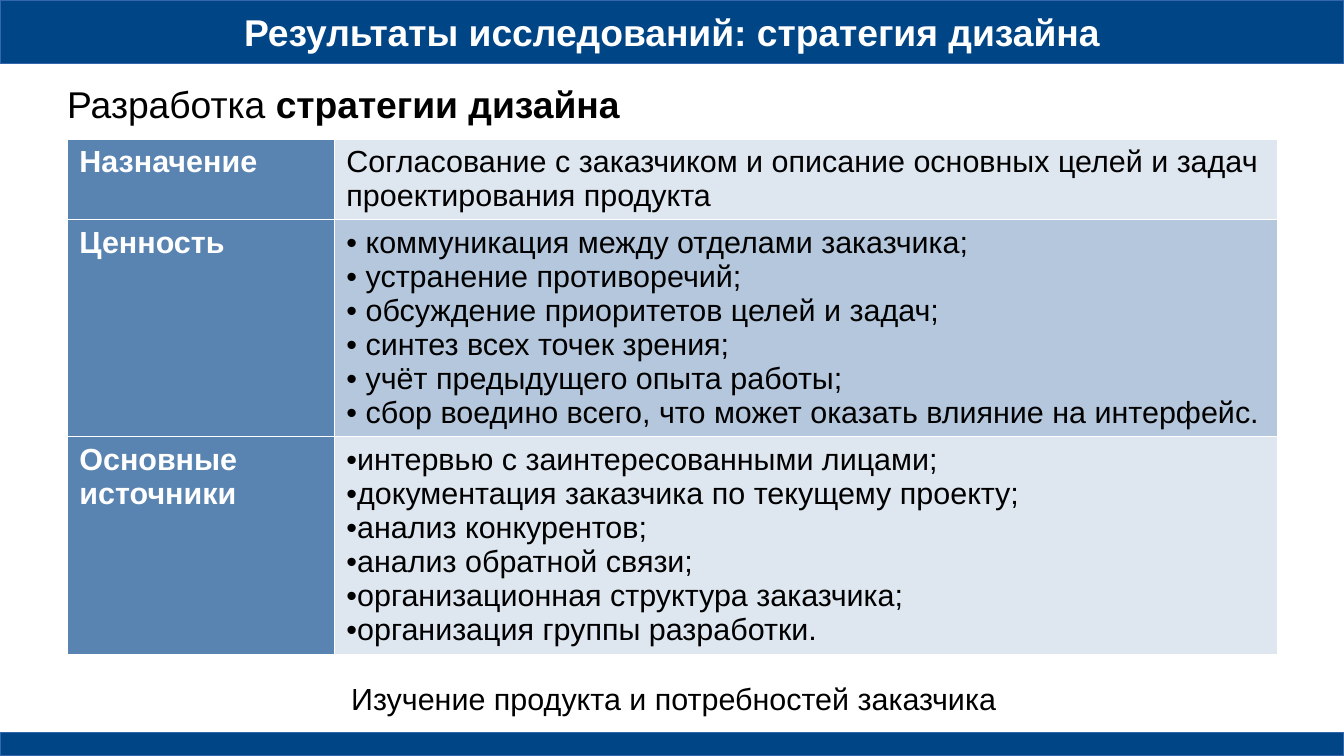
"""Build the slide on design strategy research results."""
from pptx import Presentation, util as u
from pptx.dml.color import RGBColor
from pptx.enum import shapes, text
from pptx.oxml import parse_xml
from pptx.oxml.ns import nsdecls

WIDTH, HEIGHT = u.Inches(11.02), u.Inches(6.2)
MARGIN, CONTENT = int(WIDTH * 0.05), int(WIDTH * 0.9)
HEADER, FOOTER = u.Inches(0.52), u.Inches(0.19)
NAVY, EDGE, STEEL, PALE, MID = "004586", "3465AF", "5983B0", "DEE6EF", "B4C7DC"


def paint(target, color):
    target.solid()
    target.fore_color.rgb = RGBColor.from_string(color)


def write(frame, lines, size=18, color="000000", bold=False, align="LEFT", inset=(0.1, 0.05), wrap=True):
    """Fill a frame with lines; a line given as a list alternates plain and bold."""
    frame.word_wrap = wrap
    frame.margin_left = frame.margin_right = u.Inches(inset[0])
    frame.margin_top = frame.margin_bottom = u.Inches(inset[1])
    for number, line in enumerate(lines):
        para = frame.add_paragraph() if number else frame.paragraphs[0]
        para.alignment = text.PP_ALIGN[align]
        para.space_before = u.Pt(0)
        for order, words in enumerate(line if isinstance(line, list) else [line]):
            span = para.add_run()
            span.text = words
            span.font.name = "Arial"
            span.font.size = u.Pt(size)
            span.font.bold = bold or order % 2 == 1
            span.font.color.rgb = RGBColor.from_string(color)


deck = Presentation()
deck.slide_width, deck.slide_height = WIDTH, HEIGHT
page = deck.slides.add_slide(deck.slide_layouts[1])
title, body = page.placeholders

for top, height in ((0, HEADER), (HEIGHT - FOOTER, FOOTER)):
    bar = page.shapes.add_shape(shapes.MSO_SHAPE.RECTANGLE, 0, top, WIDTH, height)
    bar.shadow.inherit = False
    paint(bar.fill, NAVY)
    paint(bar.line.fill, EDGE)
    bar.line.width = 0
    title.element.addprevious(bar.element)

title.left, title.top, title.width, title.height = 0, 0, WIDTH, HEADER
title.text_frame.auto_size = text.MSO_AUTO_SIZE.NONE
title.text_frame.vertical_anchor = text.MSO_ANCHOR.MIDDLE
write(title.text_frame, ["Результаты исследований: стратегия дизайна"],
      size=22, color="FFFFFF", bold=True, align="CENTER", inset=(0, 0))

body.left, body.top, body.width, body.height = MARGIN, u.Inches(0.67), CONTENT, u.Inches(0.45)
body.text_frame.auto_size = text.MSO_AUTO_SIZE.NONE
write(body.text_frame, [["Разработка ", "стратегии дизайна"]], size=22, inset=(0, 0))
layout = body.text_frame.paragraphs[0]._p.get_or_add_pPr()
layout.set("marL", "0")
layout.set("indent", "0")
layout.append(parse_xml(f"<a:buNone {nsdecls('a')}/>"))

rows = [
    ("Назначение", PALE, 0.66, [
        "Согласование с заказчиком и описание основных целей и задач проектирования продукта"]),
    ("Ценность", MID, 1.78, [
        "• коммуникация между отделами заказчика;",
        "• устранение противоречий;",
        "• обсуждение приоритетов целей и задач;",
        "• синтез всех точек зрения;",
        "• учёт предыдущего опыта работы;",
        "• сбор воедино всего, что может оказать влияние на интерфейс."]),
    ("Основные источники", PALE, 1.78, [
        "•интервью с заинтересованными лицами;",
        "•документация заказчика по текущему проекту;",
        "•анализ конкурентов;",
        "•анализ обратной связи;",
        "•организационная структура заказчика;",
        "•организация группы разработки."]),
]
table = page.shapes.add_table(len(rows), 2, MARGIN, u.Inches(1.14), CONTENT, u.Inches(4.22)).table
table.first_row = table.horz_banding = False
table.columns[0].width = u.Inches(2.19)
table.columns[1].width = CONTENT - u.Inches(2.19)

for number, (label, shade, height, lines) in enumerate(rows):
    table.rows[number].height = u.Inches(height)
    heading, details = table.rows[number].cells
    write(heading.text_frame, [label], color="FFFFFF", bold=True)
    write(details.text_frame, lines)
    for cell, fill in ((heading, STEEL), (details, shade)):
        paint(cell.fill, fill)
        for place, side in enumerate(("lnL", "lnR", "lnT", "lnB")):
            cell._tc.get_or_add_tcPr().insert(place, parse_xml(
                f'<a:{side} {nsdecls("a")} w="720"><a:solidFill>'
                f'<a:srgbClr val="FFFFFF"/></a:solidFill></a:{side}>'))

caption = page.shapes.add_textbox(u.Inches(2.78), u.Inches(5.53), u.Inches(5.49), u.Inches(0.38))
write(caption.text_frame, ["Изучение продукта и потребностей заказчика"], align="CENTER", wrap=False)
caption.text_frame.auto_size = text.MSO_AUTO_SIZE.SHAPE_TO_FIT_TEXT

deck.save("out.pptx")
